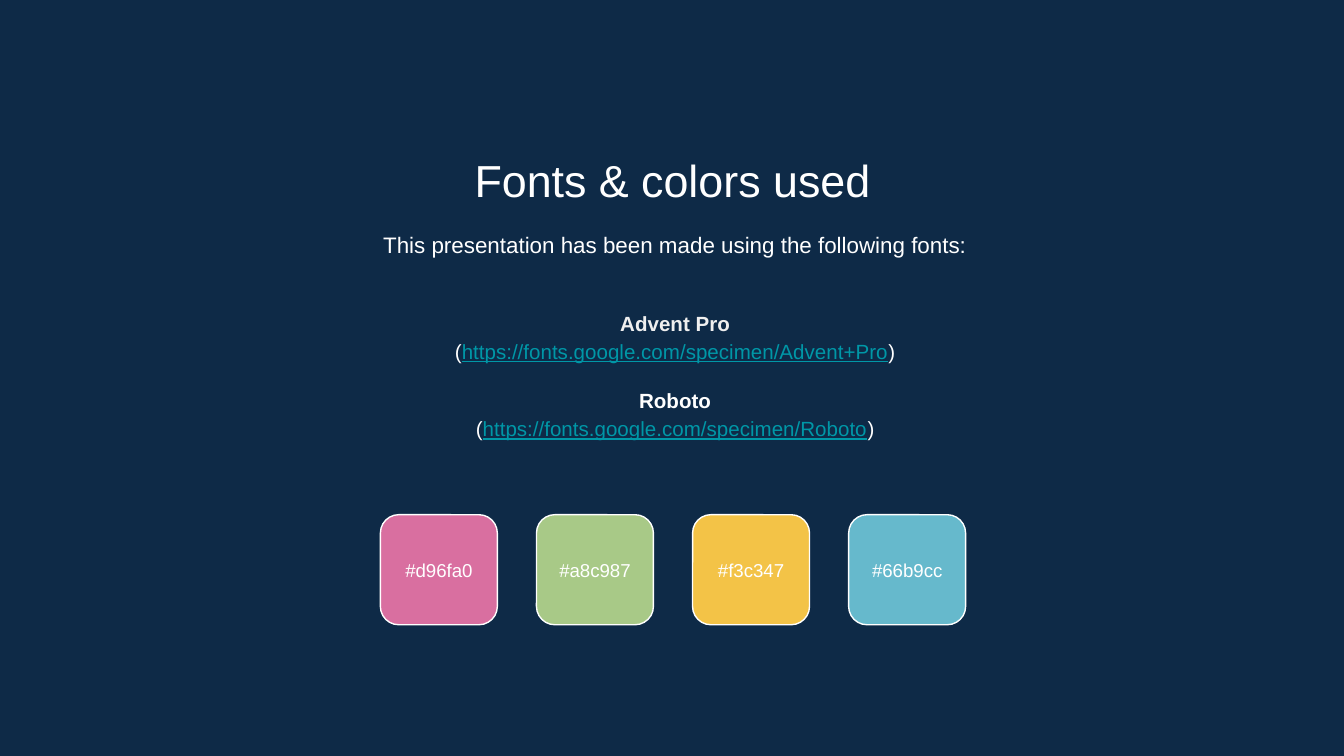
from dataclasses import dataclass

from pptx import Presentation
from pptx.dml.color import RGBColor
from pptx.enum.shapes import MSO_SHAPE
from pptx.enum.text import MSO_ANCHOR, PP_ALIGN
from pptx.slide import Slide
from pptx.text.text import TextFrame, _Paragraph
from pptx.util import Cm, Pt

CENTER = PP_ALIGN.CENTER
TOP = MSO_ANCHOR.TOP
MIDDLE = MSO_ANCHOR.MIDDLE
ROUNDED = MSO_SHAPE.ROUNDED_RECTANGLE

FONT = "Arial"
NAVY = "0E2A47"
WHITE = "FFFFFF"
LIGHT_GREY = "EFEFEF"
TEAL = "0097A7"

INSET = 0.25
BLOCK_WIDTH = 19.58
FONT_GAP = 11

SWATCH_LEFT, SWATCH_TOP = 7.19, 9.73
SWATCH_WIDTH, SWATCH_HEIGHT = 2.21, 2.08
SWATCH_STEP = 2.95


@dataclass
class FontCredit:
    name: str
    color: str
    address: str


FONT_CREDITS = [
    FontCredit("Advent Pro", LIGHT_GREY, "https://fonts.google.com/specimen/Advent+Pro"),
    FontCredit("Roboto", WHITE, "https://fonts.google.com/specimen/Roboto"),
]
SWATCH_COLORS = ["d96fa0", "a8c987", "f3c347", "66b9cc"]


def rgb(color: str) -> RGBColor:
    return RGBColor.from_string(color.upper())


def set_up_frame(frame: TextFrame, anchor: MSO_ANCHOR) -> None:
    frame.word_wrap = True
    frame.vertical_anchor = anchor
    frame.margin_left = frame.margin_right = Cm(INSET)
    frame.margin_top = frame.margin_bottom = Cm(INSET)


def format_paragraph(paragraph: _Paragraph, size: float, spacing: float = 1.0) -> None:
    paragraph.alignment = CENTER
    paragraph.line_spacing = spacing
    paragraph.font.size = Pt(size)
    for run in paragraph.runs:
        run.font.name = FONT
        run.font.size = Pt(size)
        run.font.color.rgb = rgb(WHITE)


def add_text_block(slide: Slide, left: float, top: float, height: float,
                   anchor: MSO_ANCHOR = TOP) -> TextFrame:
    box = slide.shapes.add_textbox(Cm(left), Cm(top), Cm(BLOCK_WIDTH), Cm(height))
    set_up_frame(box.text_frame, anchor)
    return box.text_frame


def add_font_credits(slide: Slide, credits: list[FontCredit]) -> None:
    frame = add_text_block(slide, 2.97, 5.33, 3.48, MIDDLE)
    for index, credit in enumerate(credits):
        name = frame.add_paragraph() if index else frame.paragraphs[0]
        name.text = credit.name
        format_paragraph(name, 11, 1.15)
        name.runs[0].font.bold = True
        name.runs[0].font.color.rgb = rgb(credit.color)
        if index:
            name.space_before = Pt(FONT_GAP)

        source = frame.add_paragraph()
        for part in ("(", credit.address, ")"):
            source.add_run().text = part
        format_paragraph(source, 11, 1.15)
        address = source.runs[1]
        address.font.color.rgb = rgb(TEAL)
        address.font.underline = True


def add_swatch(slide: Slide, left: float, color: str) -> None:
    shape = slide.shapes.add_shape(
        ROUNDED, Cm(left), Cm(SWATCH_TOP), Cm(SWATCH_WIDTH), Cm(SWATCH_HEIGHT))
    shape.shadow.inherit = False
    shape.fill.solid()
    shape.fill.fore_color.rgb = rgb(color)
    shape.line.color.rgb = rgb(WHITE)
    shape.line.width = Pt(0.75)
    set_up_frame(shape.text_frame, MIDDLE)
    shape.text_frame.text = f"#{color}"
    format_paragraph(shape.text_frame.paragraphs[0], 10)


def main() -> None:
    presentation = Presentation()
    presentation.slide_width = Cm(25.4)
    presentation.slide_height = Cm(14.29)
    slide = presentation.slides.add_slide(presentation.slide_layouts[6])
    slide.background.fill.solid()
    slide.background.fill.fore_color.rgb = rgb(NAVY)

    title = add_text_block(slide, 2.92, 2.64, 1.35)
    title.text = "Fonts & colors used"
    format_paragraph(title.paragraphs[0], 24)

    introduction = add_text_block(slide, 2.97, 4.04, 1.22)
    introduction.text = "This presentation has been made using the following fonts:"
    format_paragraph(introduction.paragraphs[0], 12, 1.15)

    add_font_credits(slide, FONT_CREDITS)
    for index, color in enumerate(SWATCH_COLORS):
        add_swatch(slide, SWATCH_LEFT + index * SWATCH_STEP, color)

    presentation.save("out.pptx")


if __name__ == "__main__":
    main()
